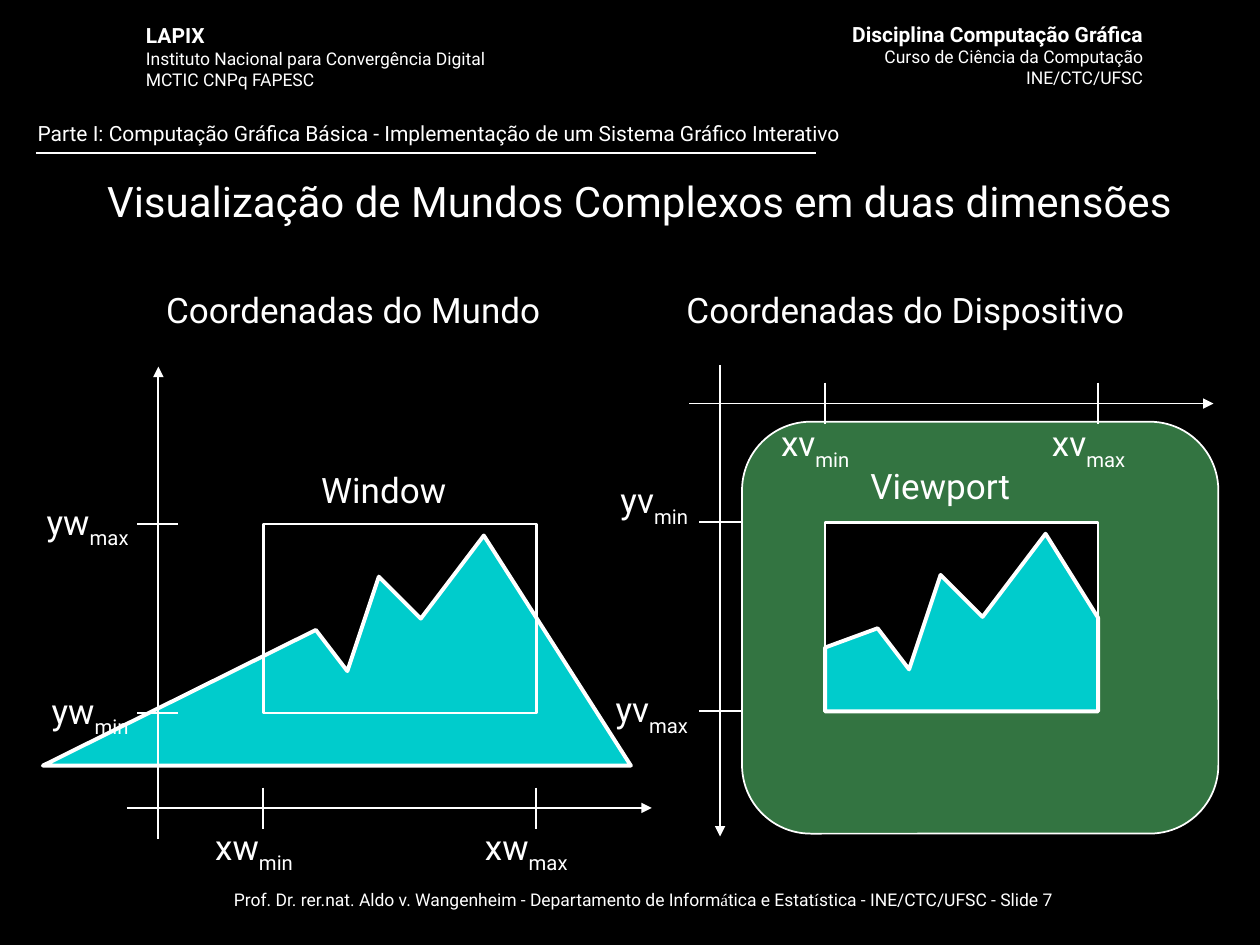
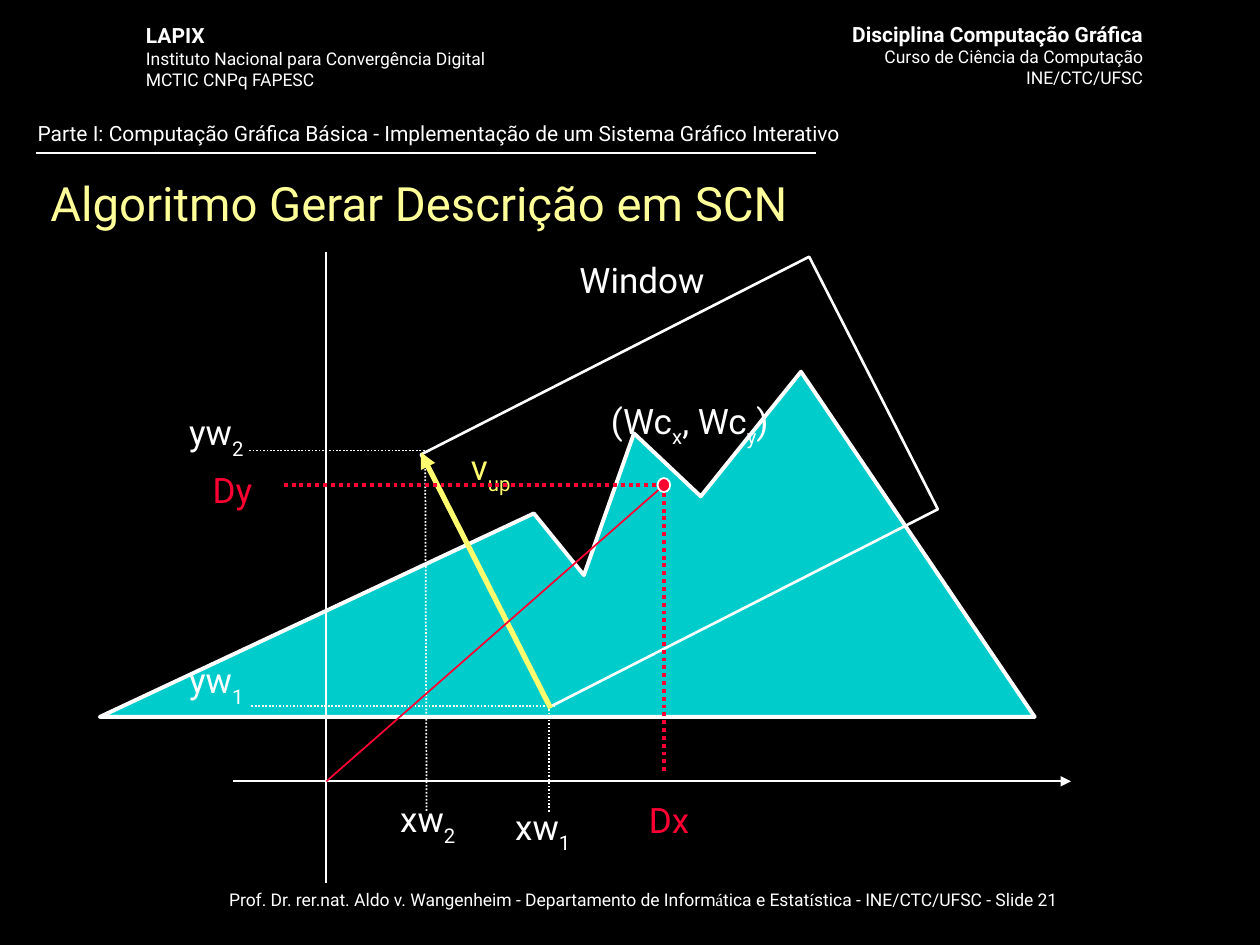
from dataclasses import dataclass

import pptx
import pptx.dml.color
import pptx.enum.dml
import pptx.enum.shapes
import pptx.enum.text
import pptx.oxml
import pptx.oxml.ns
import pptx.util

Pt = pptx.util.Pt
Align = pptx.enum.text.PP_ALIGN
Anchor = pptx.enum.text.MSO_ANCHOR
Preset = pptx.enum.shapes.MSO_SHAPE


@dataclass(frozen=True)
class Theme:
    font: str = "Roboto"
    accent_font: str = "Times New Roman"
    black: str = "000000"
    white: str = "FFFFFF"
    mountain: str = "00CCCC"
    screen: str = "66E882"
    red: str = "FF0033"
    yellow: str = "FFFC6F"
    title_yellow: str = "FFFF99"
    title_size: float = 24
    large_title_size: float = 27
    label_size: float = 20
    heading_size: float = 12
    small_size: float = 10
    thin: float = 1
    frame: float = 1.5
    thick: float = 2.25
    vector: float = 3


THEME = Theme()

# Ridge of the mountain in world coordinates, and the window around it.
PEAKS = [(180.5, 360), (198.5, 383.5), (216.5, 329.5), (240.5, 353.5), (276.5, 306)]
MOUNTAIN = [(360.5, 437.5), (24.5, 437.5)] + PEAKS
WINDOW = (150.5, 299.5, 156, 108)
VIEWPORT_SHIFT = (321, -1)


def rgb(color):
    return pptx.dml.color.RGBColor.from_string(color)


def format_run(run, size, color, bold=False, font=THEME.font):
    run.font.name = font
    run.font.size = Pt(size)
    run.font.bold = bold
    run.font.color.rgb = rgb(color)


def add_text_box(slide, left, top, width, height):
    text_frame = slide.shapes.add_textbox(Pt(left), Pt(top), Pt(width), Pt(height)).text_frame
    text_frame.word_wrap = True
    return text_frame


def add_label(slide, left, top, width, text, align=Align.LEFT, color=THEME.white):
    """Add a diagram label; every second part between bars is a subscript."""
    paragraph = add_text_box(slide, left, top, width, 36).paragraphs[0]
    paragraph.alignment = align
    for index, part in enumerate(text.split("|")):
        run = paragraph.add_run()
        run.text = part
        format_run(run, THEME.label_size, color)
        if index % 2:
            run.font._element.set("baseline", "-30000")


def add_heading_block(slide, left, top, width, lines, align):
    """Add a bold heading followed by smaller lines."""
    text_frame = add_text_box(slide, left, top, width, 46)
    text_frame.text = "\n".join(lines)
    for index, paragraph in enumerate(text_frame.paragraphs):
        paragraph.alignment = align
        size = THEME.small_size if index else THEME.heading_size
        format_run(paragraph.runs[0], size, THEME.white, bold=index == 0)


def add_line(slide, start, end, color=THEME.white, width=THEME.thin, arrow=False, dotted=False):
    connector = slide.shapes.add_connector(
        pptx.enum.shapes.MSO_CONNECTOR.STRAIGHT, *(Pt(value) for value in (*start, *end)))
    connector.line.color.rgb = rgb(color)
    connector.line.width = Pt(width)
    if dotted:
        connector.line.dash_style = pptx.enum.dml.MSO_LINE.ROUND_DOT
    if arrow:
        tail = pptx.oxml.parse_xml(
            f'<a:tailEnd {pptx.oxml.ns.nsdecls("a")} type="triangle"/>')
        connector.line._get_or_add_ln().append(tail)
    effects = pptx.oxml.parse_xml(f'<a:effectLst {pptx.oxml.ns.nsdecls("a")}/>')
    connector._element.spPr.append(effects)


def style_shape(shape, fill, line_width):
    shape.shadow.inherit = False
    if fill:
        shape.fill.solid()
        shape.fill.fore_color.rgb = rgb(fill)
    else:
        shape.fill.background()
    shape.line.color.rgb = rgb(THEME.white)
    shape.line.width = Pt(line_width)


def add_preset(slide, preset, box, fill=None, line_width=THEME.frame):
    shape = slide.shapes.add_shape(preset, *(Pt(value) for value in box))
    style_shape(shape, fill, line_width)
    return shape


def add_mountain(slide, points):
    vertices = [(Pt(x), Pt(y)) for x, y in points]
    builder = slide.shapes.build_freeform(*vertices[0])
    builder.add_line_segments(vertices[1:], close=True)
    style_shape(builder.convert_to_shape(), THEME.mountain, THEME.thick)


def add_ticks(slide, box, x_tick_top, y_tick_left):
    """Mark the edges of a box on the horizontal and the vertical axis."""
    left, top, width, height = box
    for x in (left, left + width):
        add_line(slide, (x, x_tick_top), (x, x_tick_top + 23.5))
    for y in (top, top + height):
        add_line(slide, (y_tick_left, y), (y_tick_left + 23.5, y))


def set_title(slide, text, box, size, color, anchor):
    title = slide.shapes.title
    title.left, title.top, title.width, title.height = (Pt(value) for value in box)
    text_frame = title.text_frame
    text_frame.text = text
    text_frame.auto_size = pptx.enum.text.MSO_AUTO_SIZE.NONE
    text_frame.vertical_anchor = anchor
    text_frame.paragraphs[0].alignment = Align.LEFT
    format_run(text_frame.paragraphs[0].runs[0], size, color)


def add_footer(slide, number):
    paragraph = add_text_box(slide, 49.5, 504.5, 636, 32).paragraphs[0]
    paragraph.alignment = Align.CENTER
    parts = ("Prof. Dr. rer.nat. Aldo v. Wangenheim - Departamento de Inform", "á",
             "tica e Estat", "í", f"stica - INE/CTC/UFSC - Slide {number}")
    for index, part in enumerate(parts):
        run = paragraph.add_run()
        run.text = part
        font = THEME.accent_font if index % 2 else THEME.font
        format_run(run, THEME.small_size, THEME.white, font=font)


def add_page(presentation, number):
    """Add a slide with the shared header, section line and footer."""
    slide = presentation.slides.add_slide(presentation.slide_layouts[5])
    add_footer(slide, number)
    add_line(slide, (20.5, 87.5), (466.5, 87.5))
    section = add_text_box(slide, 14.4, 65.5, 684, 22)
    section.text = ("Parte I: Computação Gráfica Básica - "
                    "Implementação de um Sistema Gráfico Interativo")
    format_run(section.paragraphs[0].runs[0], THEME.heading_size, THEME.white)
    add_heading_block(slide, 462, 8.6, 198.2, (
        "Disciplina Computação Gráfica", "Curso de Ciência da Computação",
        "INE/CTC/UFSC"), Align.RIGHT)
    add_heading_block(slide, 76.3, 9.4, 215, (
        "LAPIX", "Instituto Nacional para Convergência Digital",
        "MCTIC CNPq FAPESC"), Align.LEFT)
    return slide


def add_world_diagram(slide):
    add_mountain(slide, MOUNTAIN)
    add_preset(slide, Preset.RECTANGLE, WINDOW)
    add_line(slide, (90.5, 479.5), (90.5, 209.5), arrow=True)
    add_line(slide, (72.5, 461.7), (372.5, 461.7), arrow=True)
    add_ticks(slide, WINDOW, x_tick_top=450, y_tick_left=78.5)
    add_label(slide, 87.8, 161.3, 281, "Coordenadas do Mundo")
    add_label(slide, 176.4, 264.2, 104, "Window")
    add_label(slide, 115.9, 468, 70, "xw|min")
    add_label(slide, 270, 468, 73, "xw|max")
    add_label(slide, 7.2, 282.2, 73.4, "yw|max", Align.RIGHT)
    add_label(slide, 7.2, 390.2, 73.4, "yw|min", Align.RIGHT)


def add_device_diagram(slide):
    shift_x, shift_y = VIEWPORT_SHIFT
    left, top, width, height = WINDOW
    left, top = left + shift_x, top + shift_y
    right, bottom = left + width, top + height
    viewport = (left, top, width, height)

    screen = add_preset(slide, Preset.ROUNDED_RECTANGLE, (424, 241, 272.2, 235.4),
                        THEME.screen, THEME.thin)
    color = screen.fill._xPr.find(".//" + pptx.oxml.ns.qn("a:srgbClr"))
    color.append(pptx.oxml.parse_xml(
        f'<a:alpha {pptx.oxml.ns.nsdecls("a")} val="50000"/>'))

    add_line(slide, (411.5, 208.8), (411.5, 478), arrow=True)
    add_line(slide, (393.8, 230.6), (693.4, 230.6), arrow=True)
    add_ticks(slide, viewport, x_tick_top=218.7, y_tick_left=399.7)
    add_preset(slide, Preset.RECTANGLE, viewport, THEME.black)
    clipped_peaks = [(x + shift_x, y + shift_y) for x, y in PEAKS]
    add_mountain(slide, [(right, bottom), (left, bottom), (left, 370),
                         *clipped_peaks, (right, 353)])
    add_label(slide, 385.2, 161.3, 330, "Coordenadas do Dispositivo")
    add_label(slide, 490.3, 262.1, 116, "Viewport")
    add_label(slide, 439.2, 237.6, 65, "xv|min")
    add_label(slide, 594, 237.6, 68, "xv|max")
    add_label(slide, 335.5, 270, 64.8, "yv|min", Align.RIGHT)
    add_label(slide, 335.5, 389.5, 64.8, "yv|max", Align.RIGHT)


def add_rotated_window_diagram(slide):
    peak_left, peak_top = 57, 212.4
    scale_x, scale_y = 1.59, 1.5
    add_mountain(slide, [(peak_left + (x - 24.5) * scale_x, peak_top + (y - 306) * scale_y)
                         for x, y in MOUNTAIN])
    window = add_preset(slide, Preset.RECTANGLE, (263.7, 194.4, 249.1, 162))
    window.rotation = 333

    origin, center = (186.5, 446.5), (379.4, 277.2)
    add_line(slide, (origin[0], 144), (origin[0], 504.5))
    add_line(slide, (133.4, origin[1]), (612, origin[1]), arrow=True)
    for start, end in (((313.9, 403.3), (313.9, 464)), ((243, 264), (243.8, 464)),
                       ((143.7, 403.3), (316.8, 403.3)), ((142.4, 257.4), (244, 257.4))):
        add_line(slide, start, end, dotted=True)

    add_label(slide, 324, 144, 104, "Window")
    add_label(slide, 287.3, 456.5, 54, "xw|1")
    add_label(slide, 218.2, 452.2, 52.5, "xw|2", Align.CENTER)
    add_label(slide, 92.2, 231.1, 54, "yw|2", Align.RIGHT)
    add_label(slide, 92.2, 373, 54, "yw|1", Align.RIGHT)
    add_line(slide, (314.6, 404.6), (240.5, 258.5), THEME.yellow, THEME.vector, arrow=True)
    add_label(slide, 259.2, 251.3, 42.5, "v|up", Align.CENTER, THEME.yellow)
    add_label(slide, 342, 224.6, 109.4, "(Wc|x|, Wc|y|)")

    add_line(slide, origin, center, THEME.red)
    for end in ((161.3, center[1]), (center[0], 442.8)):
        add_line(slide, center, end, THEME.red, THEME.thick, dotted=True)
    add_preset(slide, Preset.OVAL, (center[0] - 3.6, center[1] - 4, 7.2, 8),
               THEME.red, THEME.thin)
    add_label(slide, 107.3, 264.2, 43.9, "Dy", Align.RIGHT, THEME.red)
    add_label(slide, 357.1, 452.9, 43.9, "Dx", Align.RIGHT, THEME.red)


def main():
    presentation = pptx.Presentation()
    presentation.slide_width, presentation.slide_height = Pt(720), Pt(540)
    background = presentation.slide_master.background.fill
    background.solid()
    background.fore_color.rgb = rgb(THEME.black)

    slide = add_page(presentation, 7)
    set_title(slide, "Visualização de Mundos Complexos em duas dimensões",
              (54, 82, 648.7, 65), THEME.title_size, THEME.white, Anchor.MIDDLE)
    add_device_diagram(slide)
    add_world_diagram(slide)

    slide = add_page(presentation, 21)
    set_title(slide, "Algoritmo Gerar Descrição em SCN", (21.6, 95.8, 696, 48),
              THEME.large_title_size, THEME.title_yellow, Anchor.TOP)
    add_rotated_window_diagram(slide)

    presentation.save("out.pptx")


if __name__ == "__main__":
    main()
